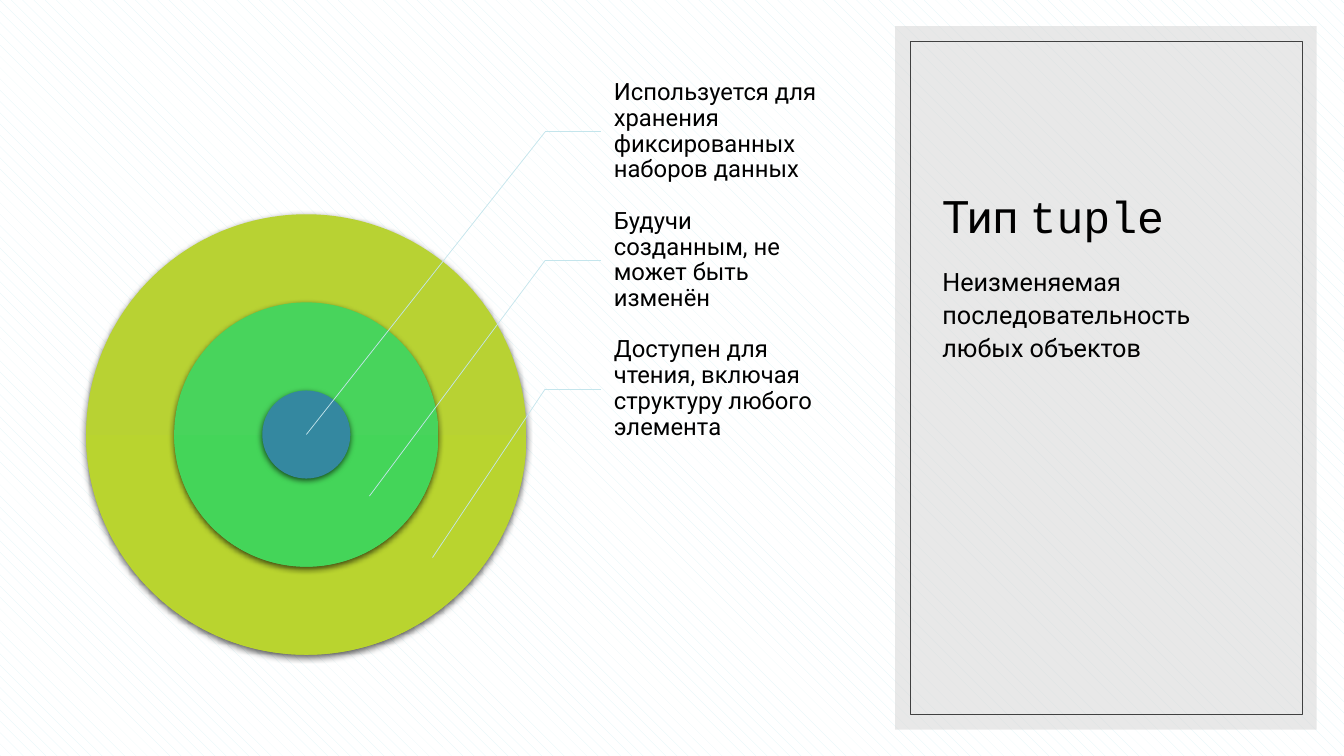
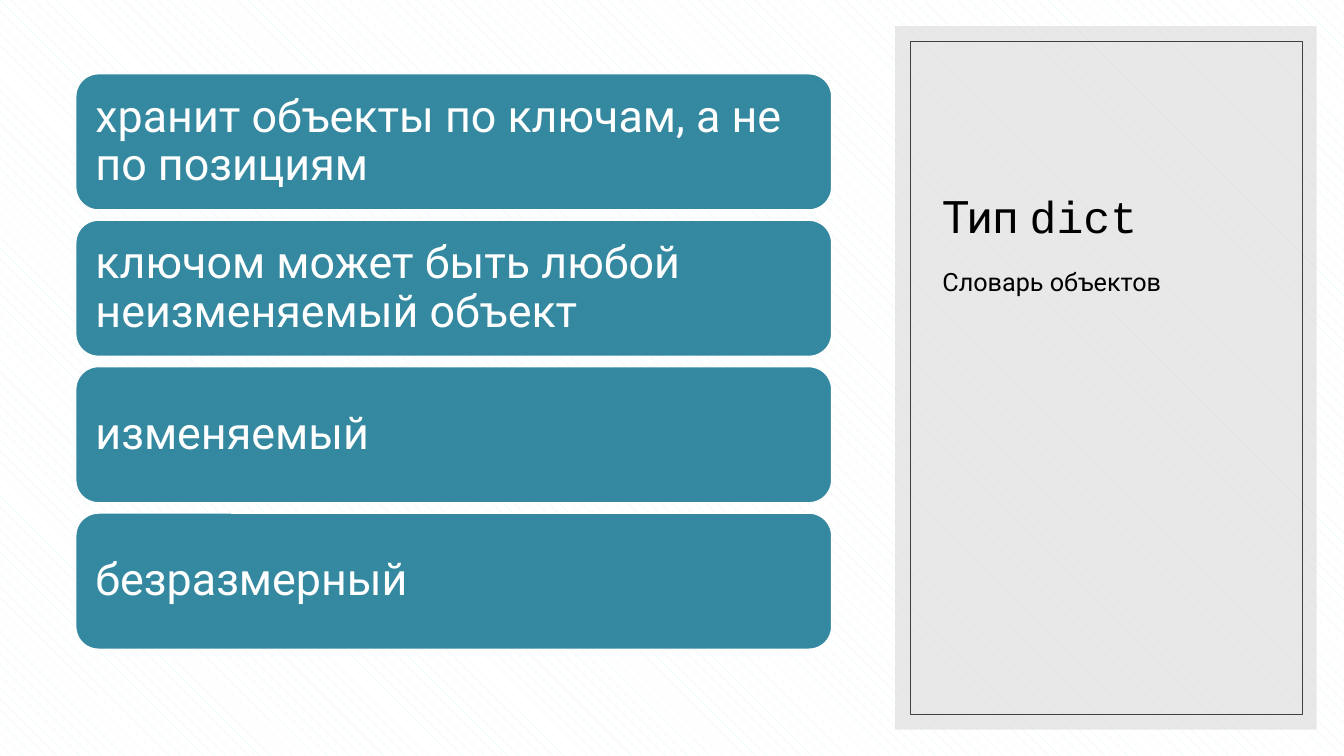
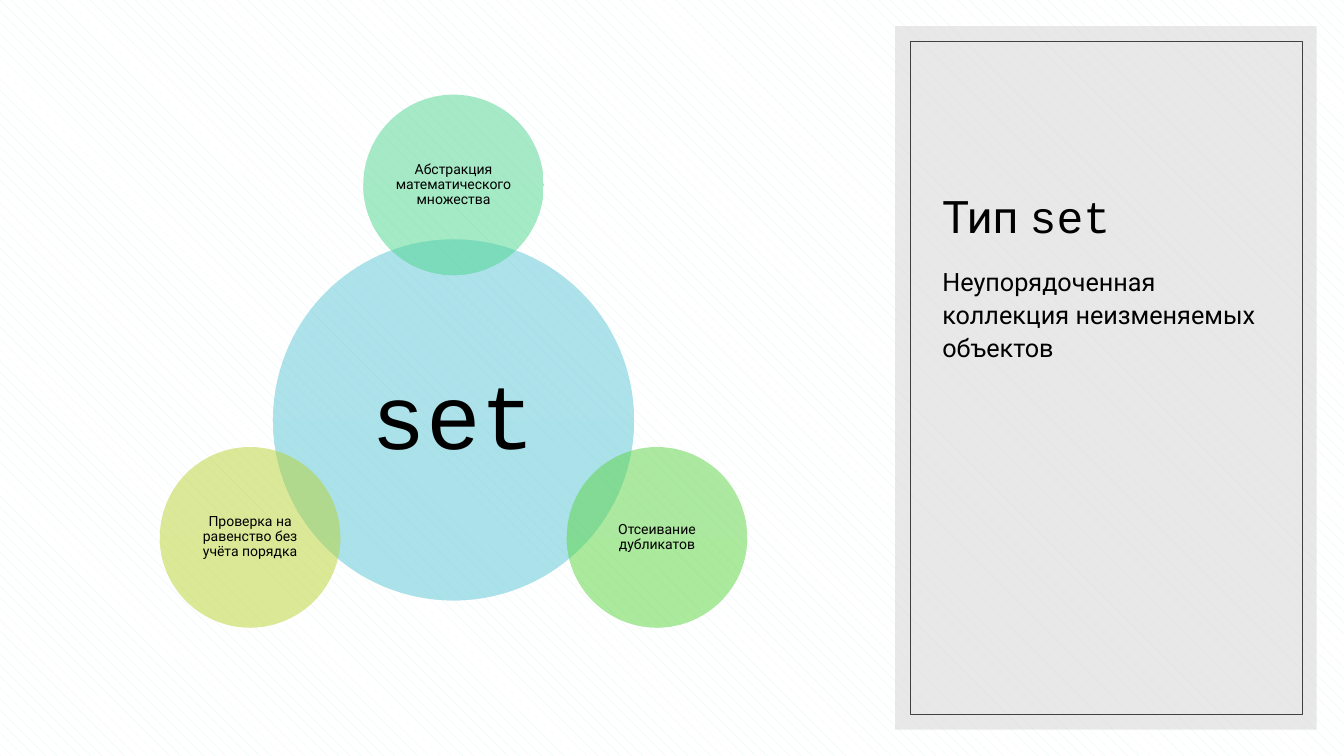
from dataclasses import dataclass
from math import cos, radians, sin
from typing import Any

from lxml import etree
from pptx import Presentation
from pptx.dml.color import RGBColor
from pptx.enum.dml import MSO_PATTERN_TYPE
from pptx.enum.shapes import MSO_CONNECTOR, MSO_SHAPE
from pptx.enum.text import MSO_ANCHOR, MSO_AUTO_SIZE, PP_ALIGN
from pptx.oxml.ns import qn
from pptx.util import Cm, Pt

RECT, ROUND, OVAL = MSO_SHAPE.RECTANGLE, MSO_SHAPE.ROUNDED_RECTANGLE, MSO_SHAPE.OVAL
STRAIGHT, SHINGLE = MSO_CONNECTOR.STRAIGHT, MSO_PATTERN_TYPE.SHINGLE
TOP, MIDDLE, BOTTOM = MSO_ANCHOR.TOP, MSO_ANCHOR.MIDDLE, MSO_ANCHOR.BOTTOM
LEFT, CENTER, NO_FIT = PP_ALIGN.LEFT, PP_ALIGN.CENTER, MSO_AUTO_SIZE.NONE

COLORS = {
    "black": "000000", "white": "FFFFFF", "stripe": "DEF4F7",
    "panel": "D9D9D9", "frame": "404040", "teal": "3488A0", "leader": "C4E5EC",
    "lime_top": "B8D233", "lime": "B9D42F",
    "green_top": "48D45C", "green": "44D559",
    "aqua_top": "5CC6D6", "aqua": "58C6D7",
    "mint_top": "4FD48E", "mint": "4BD68D",
    "grass_top": "5BD341", "grass": "58D53D",
}
SANS, MONO = "Roboto", "Courier New"


@dataclass(frozen=True)
class Box:
    """A rectangle in centimetres."""
    x: float
    y: float
    w: float
    h: float

    def lengths(self) -> list[Cm]:
        """Return left, top, width and height as lengths."""
        return [Cm(v) for v in (self.x, self.y, self.w, self.h)]


@dataclass(frozen=True)
class TextStyle:
    """How the text of one shape looks; insets are left, then the other sides."""
    size: float
    color: str = "black"
    font: str = SANS
    align: Any = LEFT
    anchor: Any = MIDDLE
    insets: tuple[float, float] = (0.25, 0.13)
    spacing: float = 0.9
    before: float = 0


@dataclass(frozen=True)
class Ring:
    """A circle of the target; size counts core diameters."""
    size: int
    colors: tuple[str, ...]


@dataclass(frozen=True)
class Satellite:
    """A circle placed around the hub at an angle in degrees."""
    text: str
    angle: float
    colors: tuple[str, str]


PANEL = Box(22.56, 0.66, 10.62, 17.73)
FRAME = Box(22.94, 1.04, 9.88, 16.97)
TITLE = Box(23.5, 1.68, 8.79, 4.57)
SUBTITLE = Box(23.5, 6.5, 8.79, 10)

TITLE_STYLE = TextStyle(32, anchor=BOTTOM, spacing=1.0)
SUBTITLE_STYLE = TextStyle(18, anchor=TOP, spacing=1.1, before=8)
CALLOUT_STYLE = TextStyle(17, insets=(0.33, 0.05))
CARD_STYLE = TextStyle(32, "white", insets=(0.33, 0.33))
HUB_STYLE = TextStyle(65, font=MONO, align=CENTER, insets=(0.23, 0.23))
SATELLITE_STYLE = TextStyle(10, align=CENTER, insets=(0.03, 0.03))

RINGS = [Ring(5, ("lime_top", "lime")), Ring(3, ("green_top", "green")), Ring(1, ("teal",))]
CALLOUTS = [
    "Используется для хранения фиксированных наборов данных",
    "Будучи созданным, не может быть изменён",
    "Доступен для чтения, включая структуру любого элемента",
]
CARDS = [
    "хранит объекты по ключам, а не по позициям",
    "ключом может быть любой неизменяемый объект",
    "изменяемый",
    "безразмерный",
]
SATELLITES = [
    Satellite("Абстракция математического множества", -90, ("mint_top", "mint")),
    Satellite("Отсеивание дубликатов", 30, ("grass_top", "grass")),
    Satellite("Проверка на равенство без учёта порядка", 150, ("lime_top", "lime")),
]


def rgb(name: str) -> RGBColor:
    """Look up a palette colour."""
    return RGBColor.from_string(COLORS[name])


def set_attrs(obj: Any, values: dict[str, Any]) -> None:
    """Set every attribute named in values."""
    for name, value in values.items():
        setattr(obj, name, value)


def write(shape: Any, style: TextStyle, *runs: tuple[str, str]) -> None:
    """Write one paragraph of (text, font) runs into a shape."""
    tf = shape.text_frame
    side, rest = (Cm(v) for v in style.insets)
    set_attrs(tf, {
        "word_wrap": True, "auto_size": NO_FIT, "vertical_anchor": style.anchor,
        "margin_left": side, "margin_right": min(side, rest) if style.insets[1] < 0.1 else side,
        "margin_top": rest, "margin_bottom": rest,
    })
    p = tf.paragraphs[0]
    set_attrs(p, {"alignment": style.align, "line_spacing": style.spacing,
                  "space_before": Pt(style.before)})
    for text, font in runs:
        r = p.add_run()
        r.text = text
        set_attrs(r.font, {"name": font, "size": Pt(style.size)})
        r.font.color.rgb = rgb(style.color)


def add_text(s: Any, box: Box, text: str, style: TextStyle) -> None:
    """Add a text box."""
    write(s.shapes.add_textbox(*box.lengths()), style, (text, style.font))


def add_shape(s: Any, kind: Any, box: Box, colors: tuple[str, ...] = (),
              line: tuple[str, float] | None = None, opacity: int = 100) -> Any:
    """Add a shape with no fill, one colour, or a gradient from top to bottom."""
    sp = s.shapes.add_shape(kind, *box.lengths())
    sp.shadow.inherit = False
    if len(colors) == 2:
        sp.fill.gradient()
        sp.fill.gradient_angle = 270
        for stop, name in zip(sp.fill.gradient_stops, colors):
            stop.color.rgb = rgb(name)
    elif colors:
        sp.fill.solid()
        sp.fill.fore_color.rgb = rgb(colors[0])
    else:
        sp.fill.background()
    if opacity < 100:
        for color in sp.element.spPr.iter(qn("a:srgbClr")):
            etree.SubElement(color, qn("a:alpha"), val=str(opacity * 1000))
    if line:
        sp.line.color.rgb = rgb(line[0])
        sp.line.width = Pt(line[1])
    else:
        sp.line.fill.background()
    return sp


def add_circle(s: Any, cx: float, cy: float, diameter: float,
               colors: tuple[str, ...], opacity: int = 100) -> Any:
    """Add a circle around a centre."""
    box = Box(cx - diameter / 2, cy - diameter / 2, diameter, diameter)
    return add_shape(s, OVAL, box, colors, opacity=opacity)


def add_drop_shadow(sp: Any) -> None:
    """Give a shape a soft shadow below it."""
    effects = sp.element.spPr.find(qn("a:effectLst"))
    shadow = etree.SubElement(effects, qn("a:outerShdw"), blurRad=str(Pt(4.5)),
                              dist=str(Pt(1.5)), dir="5400000", algn="ctr", rotWithShape="0")
    color = etree.SubElement(shadow, qn("a:srgbClr"), val=COLORS["black"])
    etree.SubElement(color, qn("a:alpha"), val="63000")


def add_leader(s: Any, x1: float, y1: float, x2: float, y2: float) -> None:
    """Add a thin straight leader line."""
    c = s.shapes.add_connector(STRAIGHT, Cm(x1), Cm(y1), Cm(x2), Cm(y2))
    c.line.color.rgb = rgb("leader")
    c.line.width = Pt(0.5)
    etree.SubElement(c.element.spPr, qn("a:effectLst"))


def decorate_layout(layout: Any, s: Any) -> None:
    """Give the layout its striped background and framed side panel."""
    fill = layout.background.fill
    fill.patterned()
    fill.pattern = SHINGLE
    fill.fore_color.rgb = rgb("stripe")
    fill.back_color.rgb = rgb("white")
    panel = add_shape(s, RECT, PANEL, ("panel",), opacity=60)
    frame = add_shape(s, RECT, FRAME, line=("frame", 0.5))
    for i, sp in enumerate((panel, frame)):
        sp.element.nvSpPr.cNvPr.set("id", str(101 + i))
        layout.shapes.element.insert(2 + i, sp.element)


def add_slide(prs: Any, type_name: str, subtitle: str) -> Any:
    """Add a slide with its title and subtitle in the side panel."""
    s = prs.slides.add_slide(prs.slide_layouts[5])
    title = s.shapes.title
    set_attrs(title, dict(zip(("left", "top", "width", "height"), TITLE.lengths())))
    write(title, TITLE_STYLE, ("Тип ", SANS), (type_name, MONO))
    add_text(s, SUBTITLE, subtitle, SUBTITLE_STYLE)
    return s


def draw_target(s: Any) -> None:
    """Draw the rings and a callout for each, from the core outwards."""
    cx, cy, core = 7.72, 10.95, 2.22
    for ring in RINGS:
        add_drop_shadow(add_circle(s, cx, cy, core * ring.size, ring.colors))
    text_x, elbow_x, top, height = 15.14, 13.74, 1.7, 3.24
    for i, text in enumerate(CALLOUTS):
        y = top + i * height
        middle = y + height / 2
        add_text(s, Box(text_x, y, 5.56, height), text, CALLOUT_STYLE)
        add_leader(s, elbow_x, middle, text_x, middle)
        add_leader(s, elbow_x, middle, cx + 1.59 * i, cy + 1.55 * i)


def draw_cards(s: Any) -> None:
    """Draw the column of rounded cards."""
    for i, text in enumerate(CARDS):
        box = Box(1.91, 1.86 + 3.69 * i, 19.05, 3.43)
        write(add_shape(s, ROUND, box, ("teal",), ("white", 1)), CARD_STYLE, (text, SANS))


def draw_hub(s: Any) -> None:
    """Draw the hub circle and its satellites."""
    cx, cy, diameter, radius = 11.43, 10.58, 9.1, 5.92
    hub = add_circle(s, cx, cy, diameter, ("aqua_top", "aqua"), 50)
    write(hub, HUB_STYLE, ("set", MONO))
    for sat in SATELLITES:
        angle = radians(sat.angle)
        sp = add_circle(s, cx + radius * cos(angle), cy + radius * sin(angle),
                        diameter / 2, sat.colors, 50)
        write(sp, SATELLITE_STYLE, (sat.text, SANS))


def main() -> None:
    """Build and save the presentation."""
    prs = Presentation()
    prs.slide_width, prs.slide_height = Cm(33.87), Cm(19.05)
    pages = [
        ("tuple", "Неизменяемая последовательность любых объектов", draw_target),
        ("dict", "Словарь объектов", draw_cards),
        ("set", "Неупорядоченная коллекция неизменяемых объектов", draw_hub),
    ]
    for type_name, subtitle, draw in pages:
        draw(add_slide(prs, type_name, subtitle))
    decorate_layout(prs.slide_layouts[5], prs.slides[0])
    prs.save("out.pptx")


main()
